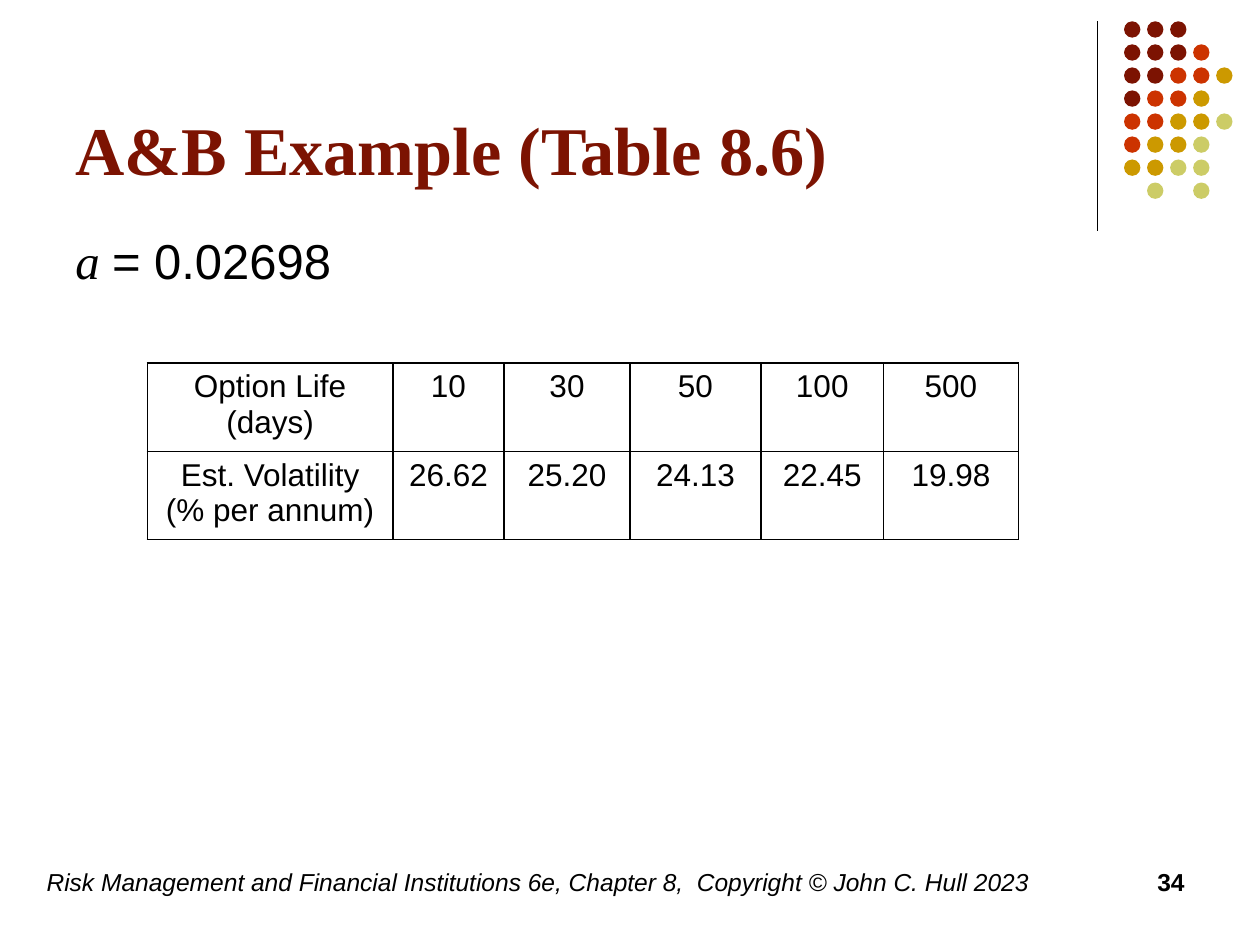
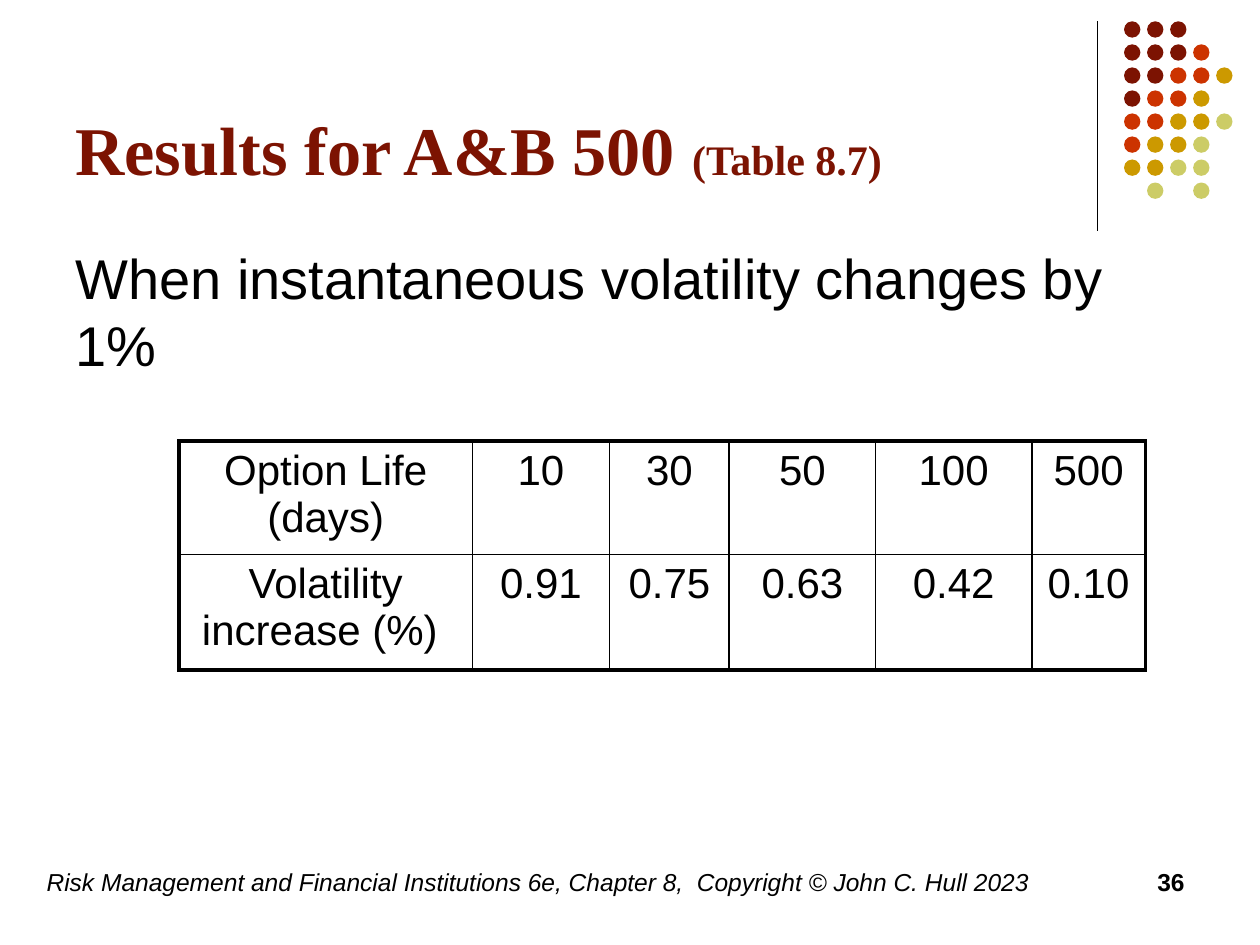
from dataclasses import dataclass

from lxml.etree import SubElement
from pptx import Presentation
from pptx.dml.color import RGBColor
from pptx.enum.shapes import MSO_CONNECTOR, MSO_SHAPE
from pptx.enum.text import MSO_ANCHOR, PP_ALIGN
from pptx.oxml import parse_xml
from pptx.oxml.ns import nsdecls, qn
from pptx.util import Cm, Pt


@dataclass(frozen=True)
class Theme:
    ink: str = "000000"
    maroon: str = "7C1302"
    red: str = "CC3300"
    gold: str = "CC9900"
    olive: str = "CCCC66"
    serif: str = "Times New Roman"
    sans: str = "Arial"
    title: int = 39
    title_note: int = 24
    footer: int = 14
    thin: float = 1
    thick: float = 2.25


THEME = Theme()
DOT_COLORS = {"m": THEME.maroon, "r": THEME.red, "g": THEME.gold, "o": THEME.olive}
DOT_ROWS = ["mmm", "mmmr", "mmrrg", "mrrg", "rrggo", "rggo", "ggoo", " o o"]
FOOTER = ("Risk Management and Financial Institutions 6e, Chapter 8,  "
          "Copyright © John C. Hull 2023")
OPTION_LIVES = ["Option Life (days)", "10", "30", "50", "100", "500"]


def write_text(tf, text, size, font=THEME.sans, color=THEME.ink, bold=False,
               italic=False, align=PP_ALIGN.LEFT):
    """Append a run to the last paragraph, which takes the alignment."""
    p = tf.paragraphs[-1]
    p.alignment = align
    r = p.add_run()
    r.text = text
    r.font.size = Pt(size)
    r.font.name = font
    r.font.color.rgb = RGBColor.from_string(color)
    r.font.bold = bold
    r.font.italic = italic


def add_box(s, box, anchor=MSO_ANCHOR.TOP):
    tf = s.shapes.add_textbox(*map(Cm, box)).text_frame
    tf.word_wrap = True
    tf.vertical_anchor = anchor
    return tf


def add_dots(s, left, top, pitch=3.25 / 7, size=0.33):
    for i, row in enumerate(DOT_ROWS):
        for j, key in enumerate(row):
            if key == " ":
                continue
            sp = s.shapes.add_shape(MSO_SHAPE.OVAL, Cm(left + j * pitch),
                                    Cm(top + i * pitch), Cm(size), Cm(size))
            sp.shadow.inherit = False
            sp.fill.solid()
            sp.fill.fore_color.rgb = RGBColor.from_string(DOT_COLORS[key])
            sp.line.fill.background()


def add_rule(s, x, top, bottom):
    line = s.shapes.add_connector(MSO_CONNECTOR.STRAIGHT,
                                  Cm(x), Cm(top), Cm(x), Cm(bottom))
    line.line.color.rgb = RGBColor.from_string(THEME.ink)
    line.line.width = Pt(0.75)
    SubElement(line._element.spPr, qn("a:effectLst"))


def add_title(s, box, text, note=""):
    tf = add_box(s, box, MSO_ANCHOR.BOTTOM)
    style = dict(font=THEME.serif, color=THEME.maroon, bold=True)
    write_text(tf, text, THEME.title, **style)
    if note:
        write_text(tf, note, THEME.title_note, **style)


def add_footer(s, top, number):
    write_text(add_box(s, (0.69, top, 21, 1.27)), FOOTER, THEME.footer, italic=True)
    write_text(add_box(s, (18.21, top, 5.92, 1.27)), str(number), THEME.footer,
               bold=True, align=PP_ALIGN.RIGHT)


def set_borders(cell, widths):
    """Draw the left, right, top and bottom borders, with widths in points."""
    pr = cell._tc.get_or_add_tcPr()
    for i, (side, width) in enumerate(zip("LRTB", widths)):
        pr.insert(i, parse_xml(
            f'<a:ln{side} {nsdecls("a")} w="{Pt(width)}"><a:solidFill>'
            f'<a:srgbClr val="{THEME.ink}"/></a:solidFill></a:ln{side}>'))


def add_grid(s, left, top, col_widths, row_heights, rows, size, frame=THEME.thin):
    """Add a table with thin inner lines and an outer frame of its own width."""
    table = s.shapes.add_table(
        len(rows), len(col_widths), Cm(left), Cm(top),
        Cm(sum(col_widths)), Cm(sum(row_heights))).table
    table.first_row = table.horz_banding = False
    for col, width in zip(table.columns, col_widths):
        col.width = Cm(width)
    for row, height in zip(table.rows, row_heights):
        row.height = Cm(height)
    last_row, last_col = len(rows) - 1, len(col_widths) - 1
    for i, row in enumerate(rows):
        for j, text in enumerate(row):
            cell = table.cell(i, j)
            cell.fill.background()
            at_edge = (j == 0, j == last_col, i == 0, i == last_row)
            set_borders(cell, [frame if e else THEME.thin for e in at_edge])
            write_text(cell.text_frame, text, size, align=PP_ALIGN.CENTER)


def add_base_slide(prs, number, title, note=""):
    s = prs.slides.add_slide(prs.slide_layouts[6])
    add_rule(s, 22.12, 0.43, 4.65)
    add_dots(s, 22.66, 0.43)
    add_title(s, (1.27, 0.33, 20.96, 3.61), title, note)
    add_footer(s, 17.35, number)
    return s


def add_example_slide(prs):
    s = add_base_slide(prs, 34, "A&B Example (Table 8.6)")
    tf = add_box(s, (1.27, 4.52, 7.19, 1.45))
    write_text(tf, "a ", 28, font=THEME.serif, italic=True)
    write_text(tf, "= 0.02698", 28)
    volatilities = ["Est. Volatility (% per annum)",
                    "26.62", "25.20", "24.13", "22.45", "19.98"]
    add_grid(s, 2.97, 7.32, [4.95, 2.24, 2.54, 2.64, 2.47, 2.72], [1.78, 1.78],
             [OPTION_LIVES, volatilities], 18)


def add_results_slide(prs):
    s = add_base_slide(prs, 36, "Results for A&B 500 ", "(Table 8.7)")
    write_text(add_box(s, (1.27, 4.78, 22.86, 12.24)),
               "When instantaneous volatility changes by 1%", 32)
    increases = ["Volatility increase (%) ", "0.91", "0.75", "0.63", "0.42", "0.10"]
    add_grid(s, 3.61, 8.89, [5.91, 2.77, 2.41, 2.95, 3.15, 2.29], [2.29, 2.33],
             [OPTION_LIVES, increases], 24, frame=THEME.thick)


def main():
    prs = Presentation()
    prs.slide_width, prs.slide_height = Cm(25.4), Cm(19.05)
    add_example_slide(prs)
    add_results_slide(prs)
    prs.save("out.pptx")


if __name__ == "__main__":
    main()
